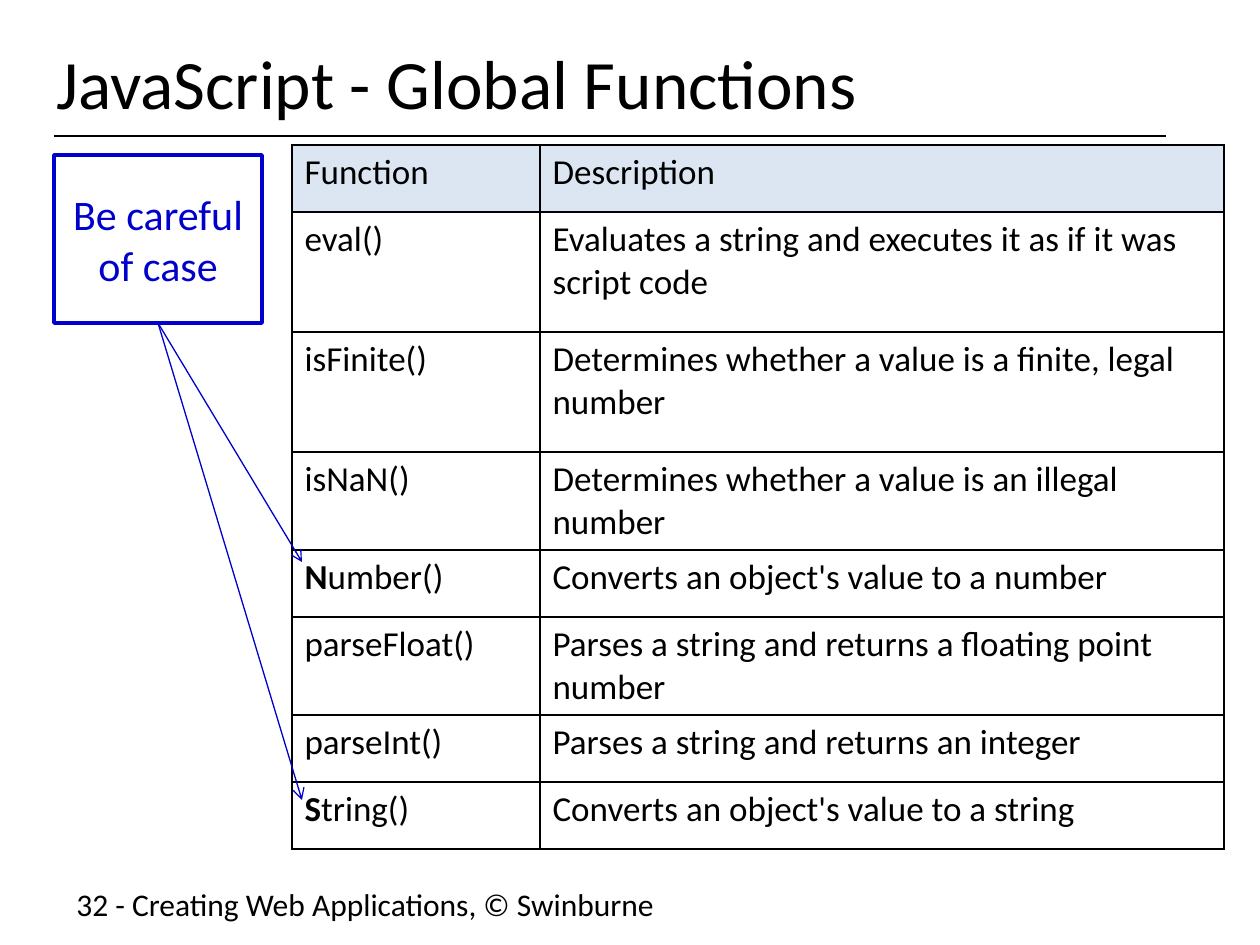
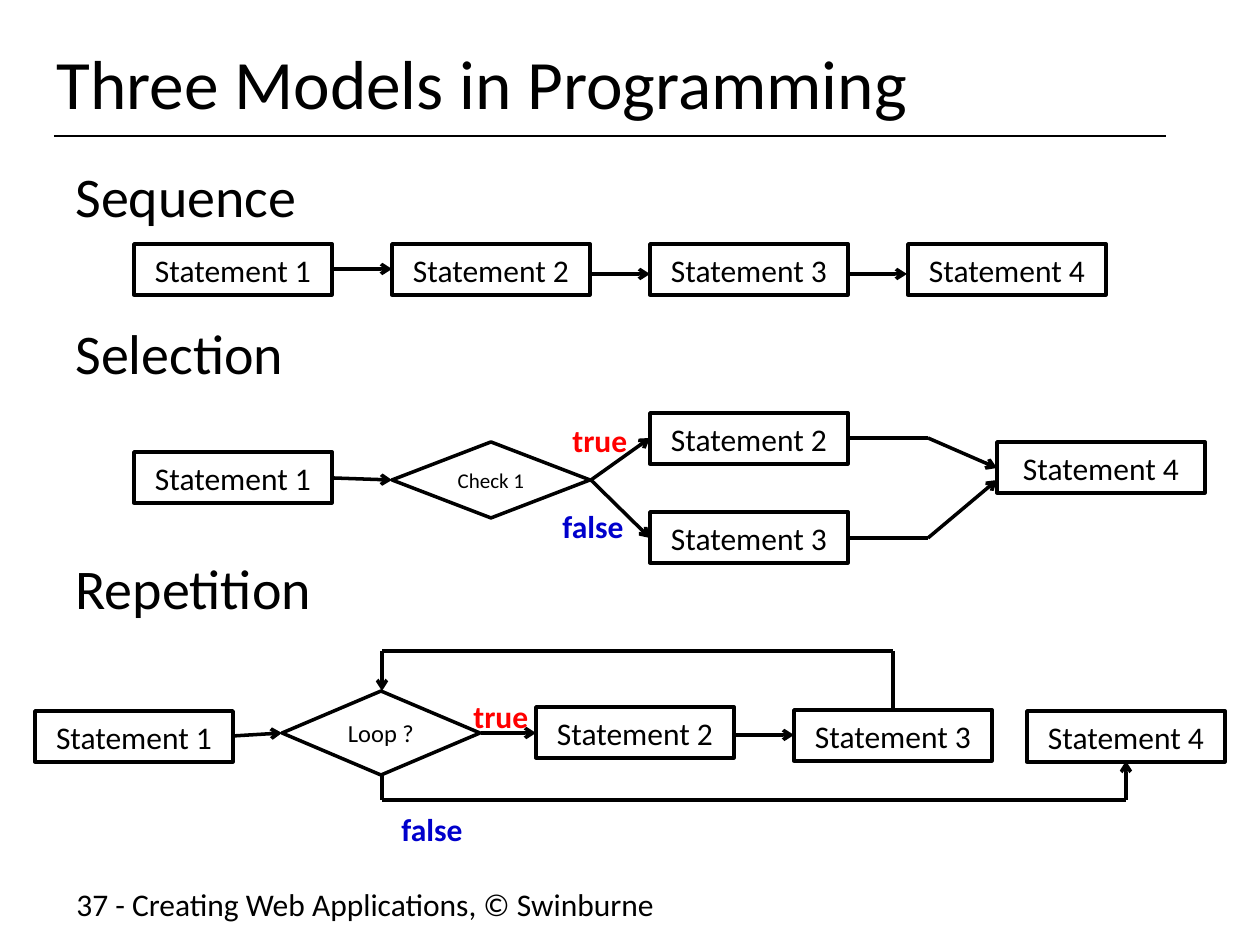
from lxml import etree
from pptx import Presentation
from pptx.dml.color import RGBColor
from pptx.enum.shapes import MSO_CONNECTOR, MSO_SHAPE
from pptx.enum.text import MSO_ANCHOR as ANCHOR, PP_ALIGN as ALIGN
from pptx.oxml.ns import qn
from pptx.util import Emu, Pt

# Shared style
FONT = "Calibri"
BLACK, WHITE, BLUE, RED, HEADER = "000000", "FFFFFF", "0000CC", "FF0000", "DCE6F2"
FOOTER = "{} - Creating Web Applications, © Swinburne"

# Global functions slide: a pair in the first column is a bold start and the rest
FUNCTIONS = [
    ("Function", "Description", 67),
    ("eval()", "Evaluates a string and executes it as if it was script code", 120),
    ("isFinite()", "Determines whether a value is a finite, legal number", 120),
    ("isNaN()", "Determines whether a value is an illegal number", 98),
    (("N", "umber()"), "Converts an object's value to a number", 67),
    ("parseFloat()", "Parses a string and returns a floating point number", 98),
    ("parseInt()", "Parses a string and returns an integer", 67),
    (("S", "tring()"), "Converts an object's value to a string", 67),
]
COLUMN_WIDTHS = [248, 684]
TABLE_LEFT, TABLE_TOP = 292, 145
WARNING = "Be careful of case"
WARNING_BOX = (54, 155, 208, 168)
CASE_TARGETS = [(302, 562), (302, 800)]

# Programming models slide
MODELS = [("Sequence", 155), ("Selection", 312), ("Repetition", 547)]
STEP_W, STEP_H, STEP_PITCH = 198, 51, 258
SEQUENCE_LEFT, SEQUENCE_TOP = 134, 244
STEPS = [  # statement number, left, top, width
    *((n + 1, SEQUENCE_LEFT + n * STEP_PITCH, SEQUENCE_TOP, STEP_W) for n in range(4)),
    (1, 134, 452, STEP_W), (2, 650, 413, STEP_W),
    (3, 650, 512, STEP_W), (4, 997, 442, 208),
    (1, 35, 711, STEP_W), (2, 536, 707, STEP_W),
    (3, 794, 710, STEP_W), (4, 1027, 711, STEP_W),
]
DECISIONS = [("Check 1", 12, (392, 442, STEP_W, 76)),
             ("Loop ?", 14, (282, 691, STEP_W, 84))]
FLOWS = [  # corner points, with the arrowhead at the last one
    # sequence
    [(333, 269), (392, 269)],
    [(591, 274), (650, 274)],
    [(848, 274), (907, 274)],
    # selection
    [(333, 478), (392, 480)],
    [(591, 480), (650, 438)],
    [(591, 480), (650, 538)],
    [(848, 438), (928, 438), (997, 468)],
    [(848, 538), (928, 538), (997, 480)],
    # repetition
    [(233, 736), (282, 733)],
    [(481, 733), (536, 733)],
    [(735, 735), (794, 735)],
    [(893, 710), (893, 651), (382, 651), (382, 691)],
    [(382, 775), (382, 800), (1126, 800), (1126, 761)],
]
BRANCHES = [("true", RED, 560, 415), ("false", BLUE, 550, 501),
            ("true", RED, 461, 691), ("false", BLUE, 389, 804)]


def px(length):
    return Emu(round(length * 914400 / 126))


def rgb(color):
    return RGBColor.from_string(color)


def write(frame, text, size=18, color=BLACK, bold=False,
          align=ALIGN.LEFT, anchor=ANCHOR.TOP):
    """Fill a frame with one paragraph; a pair is a bold start and the rest."""
    frame.word_wrap = True
    frame.vertical_anchor = anchor
    paragraph = frame.paragraphs[0]
    paragraph.alignment = align
    if isinstance(text, tuple):
        parts = [(text[0], True), (text[1], False)]
    else:
        parts = [(text, bold)]
    for words, is_bold in parts:
        run = paragraph.add_run()
        run.text = words
        run.font.name, run.font.size, run.font.bold = FONT, Pt(size), is_bold
        run.font.color.rgb = rgb(color)


def add_text(slide, text, box, **text_format):
    write(slide.shapes.add_textbox(*map(px, box)).text_frame, text, **text_format)


def add_box(slide, text, box, kind=MSO_SHAPE.RECTANGLE, color=BLACK, size=18):
    shape = slide.shapes.add_shape(kind, *map(px, box))
    shape.shadow.inherit = False
    shape.fill.solid()
    shape.fill.fore_color.rgb = rgb(WHITE)
    shape.line.color.rgb = rgb(color)
    shape.line.width = Pt(2)
    write(shape.text_frame, text, size=size, color=color,
          align=ALIGN.CENTER, anchor=ANCHOR.MIDDLE)


def add_line(slide, start, end, color=BLACK, width=2, arrow=False):
    line = slide.shapes.add_connector(
        MSO_CONNECTOR.STRAIGHT, *map(px, (*start, *end)))
    line.line.color.rgb = rgb(color)
    line.line.width = Pt(width)
    properties = line._element.spPr
    if arrow:
        etree.SubElement(properties.find(qn("a:ln")), qn("a:tailEnd"), type="arrow")
    etree.SubElement(properties, qn("a:effectLst"))


def add_flow(slide, points):
    last = len(points) - 2
    for i, (start, end) in enumerate(zip(points, points[1:])):
        add_line(slide, start, end, arrow=i == last)


def border_cell(cell):
    properties = cell._tc.get_or_add_tcPr()
    for i, side in enumerate(("a:lnL", "a:lnR", "a:lnT", "a:lnB")):
        edge = etree.Element(qn(side), w=str(Pt(1)))
        fill = etree.SubElement(edge, qn("a:solidFill"))
        etree.SubElement(fill, qn("a:srgbClr"), val=BLACK)
        properties.insert(i, edge)


def add_function_table(slide):
    heights = [row[-1] for row in FUNCTIONS]
    table = slide.shapes.add_table(
        len(FUNCTIONS), len(COLUMN_WIDTHS), px(TABLE_LEFT), px(TABLE_TOP),
        px(sum(COLUMN_WIDTHS)), px(sum(heights))).table
    table.first_row = table.horz_banding = False
    for column, width in zip(table.columns, COLUMN_WIDTHS):
        column.width = px(width)
    for r, (*texts, height) in enumerate(FUNCTIONS):
        table.rows[r].height = px(height)
        for c, text in enumerate(texts):
            cell = table.cell(r, c)
            cell.fill.solid()
            cell.fill.fore_color.rgb = rgb(WHITE if r else HEADER)
            border_cell(cell)
            write(cell.text_frame, text, size=20)


def add_slide(deck, title, number):
    slide = deck.slides.add_slide(deck.slide_layouts[6])
    add_line(slide, (54, 136), (1166, 136), width=0.75)
    add_text(slide, FOOTER.format(number), (64, 879, 694, 49))
    add_text(slide, title, (44, 38, 1153, 87), size=39.6, anchor=ANCHOR.MIDDLE)
    return slide


def build_functions(deck):
    slide = add_slide(deck, "JavaScript - Global Functions", 32)
    add_function_table(slide)
    add_box(slide, WARNING, WARNING_BOX, color=BLUE, size=24)
    left, top, width, height = WARNING_BOX
    for target in CASE_TARGETS:
        add_line(slide, (left + width / 2, top + height), target,
                 color=BLUE, width=0.75, arrow=True)


def build_models(deck):
    slide = add_slide(deck, "Three Models in Programming", 37)
    for model, top in MODELS:
        add_text(slide, model, (63, top, 1134, 80), size=32)
    for number, left, top, width in STEPS:
        add_box(slide, f"Statement {number}", (left, top, width, STEP_H))
    for question, size, box in DECISIONS:
        add_box(slide, question, box, kind=MSO_SHAPE.FLOWCHART_DECISION, size=size)
    for points in FLOWS:
        add_flow(slide, points)
    for answer, color, left, top in BRANCHES:
        add_text(slide, answer, (left, top, 118, STEP_H), color=color, bold=True)


def main():
    deck = Presentation()
    deck.slide_width, deck.slide_height = px(1260), px(945)
    build_functions(deck)
    build_models(deck)
    deck.save("out.pptx")


if __name__ == "__main__":
    main()
